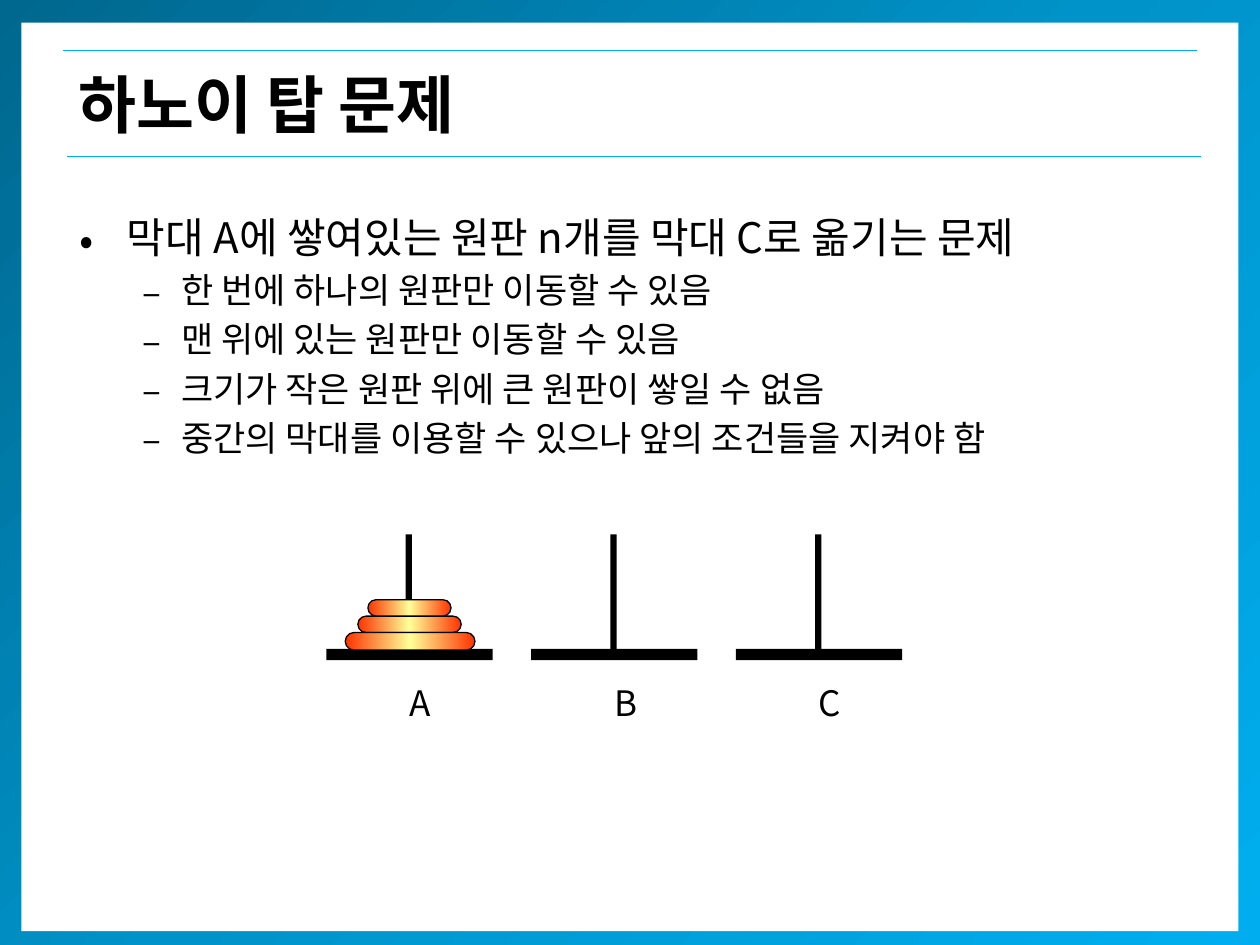
from typing import NamedTuple

from lxml.etree import SubElement
from pptx import Presentation
from pptx.dml.color import RGBColor
from pptx.enum.shapes import MSO_CONNECTOR, MSO_SHAPE
from pptx.enum.text import MSO_ANCHOR, PP_ALIGN
from pptx.oxml.ns import qn
from pptx.util import Inches, Pt

BLACK = RGBColor(0x00, 0x00, 0x00)
WHITE = RGBColor(0xFF, 0xFF, 0xFF)
DEEP_BLUE = RGBColor(0x00, 0x67, 0x8E)
MID_BLUE = RGBColor(0x00, 0x93, 0xC9)
SKY_BLUE = RGBColor(0x00, 0xAE, 0xEF)
RED = RGBColor(0xFF, 0x33, 0x00)
YELLOW = RGBColor(0xFF, 0xFF, 0x99)
FONT = "Noto Sans CJK KR"


class Level(NamedTuple):
    """Format of one outline level; lengths in inches."""
    size: int
    bullet: str
    margin: float
    indent: float


class Disk(NamedTuple):
    """Place of one disk in inches."""
    left: float
    top: float
    width: float
    height: float


LEVELS = [Level(24, "•", 0.38, -0.38), Level(20, "–", 0.81, -0.31)]
OUTLINE = [
    (0, "막대 A에 쌓여있는 원판 n개를 막대 C로 옮기는 문제"),
    (1, "한 번에 하나의 원판만 이동할 수 있음"),
    (1, "맨 위에 있는 원판만 이동할 수 있음"),
    (1, "크기가 작은 원판 위에 큰 원판이 쌓일 수 없음"),
    (1, "중간의 막대를 이용할 수 있으나 앞의 조건들을 지켜야 함"),
]
DISKS = [Disk(2.84, 4.89, 0.82, 0.13), Disk(2.74, 5.02, 1.03, 0.14),
         Disk(2.92, 4.76, 0.66, 0.13)]


def add_box(shapes, left: float, top: float, width: float, height: float,
            *, fill=None, kind=MSO_SHAPE.RECTANGLE):
    """Add a borderless, shadowless shape with an optional solid fill."""
    sp = shapes.add_shape(kind, Inches(left), Inches(top), Inches(width), Inches(height))
    sp.shadow.inherit = False
    sp.line.fill.background()
    if fill is not None:
        sp.fill.solid()
        sp.fill.fore_color.rgb = fill
    return sp


def set_gradient(sp, colors: list, angle: int) -> None:
    """Fill a shape with evenly spaced colours, angle clockwise in degrees."""
    sp.fill.gradient()
    grad = sp.element.spPr.find(qn("a:gradFill"))
    for child in list(grad):
        grad.remove(child)
    stops = SubElement(grad, qn("a:gsLst"))
    for i, color in enumerate(colors):
        stop = SubElement(stops, qn("a:gs"), pos=str(100000 * i // (len(colors) - 1)))
        SubElement(stop, qn("a:srgbClr"), val=str(color))
    SubElement(grad, qn("a:lin"), ang=str(angle * 60000), scaled="0")


def add_rule(shapes, left: float, top: float) -> None:
    """Add a thin horizontal rule nine inches long."""
    line = shapes.add_connector(MSO_CONNECTOR.STRAIGHT, Inches(left), Inches(top),
                                Inches(left + 9), Inches(top))
    line.line.color.rgb = SKY_BLUE
    line.line.width = Pt(0.75)
    SubElement(line.element.spPr, qn("a:effectLst"))


def write(p, text: str, *, size: int, bold: bool = False) -> None:
    """Write one left-aligned black run with a fixed line pitch."""
    p.alignment = PP_ALIGN.LEFT
    p.line_spacing = Pt(size * 1.2)
    r = p.add_run()
    r.text = text
    r.font.size = Pt(size)
    r.font.bold = bold
    r.font.name = FONT
    r.font.color.rgb = BLACK
    SubElement(r.font._element, qn("a:ea"), typeface=FONT)


def set_bullet(p, level: Level) -> None:
    """Give a paragraph the bullet, indents and spacing of its level."""
    p.space_before = Pt(level.size * 0.2)
    pPr = p._p.get_or_add_pPr()
    pPr.set("marL", str(Inches(level.margin)))
    pPr.set("indent", str(Inches(level.indent)))
    SubElement(pPr, qn("a:buFont"), typeface=FONT)
    SubElement(pPr, qn("a:buChar"), char=level.bullet)


def add_outline(shapes) -> None:
    """Add the bulleted statement of the problem and its rules."""
    tf = shapes.add_textbox(Inches(0.53), Inches(1.63), Inches(9), Inches(4.95)).text_frame
    tf.word_wrap = True
    for i, (depth, text) in enumerate(OUTLINE):
        p = tf.add_paragraph() if i else tf.paragraphs[0]
        p.level = depth
        write(p, text, size=LEVELS[depth].size)
        set_bullet(p, LEVELS[depth])


def add_towers(shapes) -> None:
    """Add the three labelled pegs and the disks on the first one."""
    group = shapes.add_group_shape().shapes
    for i, label in enumerate("ABC"):
        left = 2.59 + i * 3.25 / 2
        add_box(group, left, 5.15, 1.32, 0.09, fill=BLACK)
        add_box(group, left + 0.63, 4.24, 0.05, 0.95, fill=BLACK)
        tf = group.add_textbox(Inches(left + 0.56), Inches(5.36),
                               Inches(0.4), Inches(0.43)).text_frame
        tf.word_wrap = False
        write(tf.paragraphs[0], label, size=20)
    for disk in DISKS:
        sp = add_box(group, *disk, kind=MSO_SHAPE.ROUNDED_RECTANGLE)
        sp.adjustments[0] = 0.5
        set_gradient(sp, [RED, YELLOW, RED], 0)
        sp.line.color.rgb = BLACK
        sp.line.width = Pt(0.75)


def place_title(title, text: str) -> None:
    """Format the title placeholder and bring it to the front."""
    title.left, title.top = Inches(0.52), Inches(0.4)
    title.width, title.height = Inches(9.07), Inches(0.84)
    tf = title.text_frame
    tf.word_wrap = True
    tf.vertical_anchor = MSO_ANCHOR.MIDDLE
    write(tf.paragraphs[0], text, size=36, bold=True)
    title.element.getparent().append(title.element)


def main() -> None:
    """Build the slide and save it."""
    prs = Presentation()
    prs.slide_width, prs.slide_height = Inches(10), Inches(7.5)
    s = prs.slides.add_slide(prs.slide_layouts[5])
    frame = add_box(s.shapes, 0, 0, 10, 7.5)
    set_gradient(frame, [DEEP_BLUE, MID_BLUE, SKY_BLUE], 45)
    add_box(s.shapes, 0.17, 0.18, 9.66, 7.21, fill=WHITE)
    add_rule(s.shapes, 0.5, 0.4)
    add_rule(s.shapes, 0.53, 1.24)
    add_outline(s.shapes)
    add_towers(s.shapes)
    place_title(s.shapes.title, "하노이 탑 문제")
    prs.save("out.pptx")


main()
